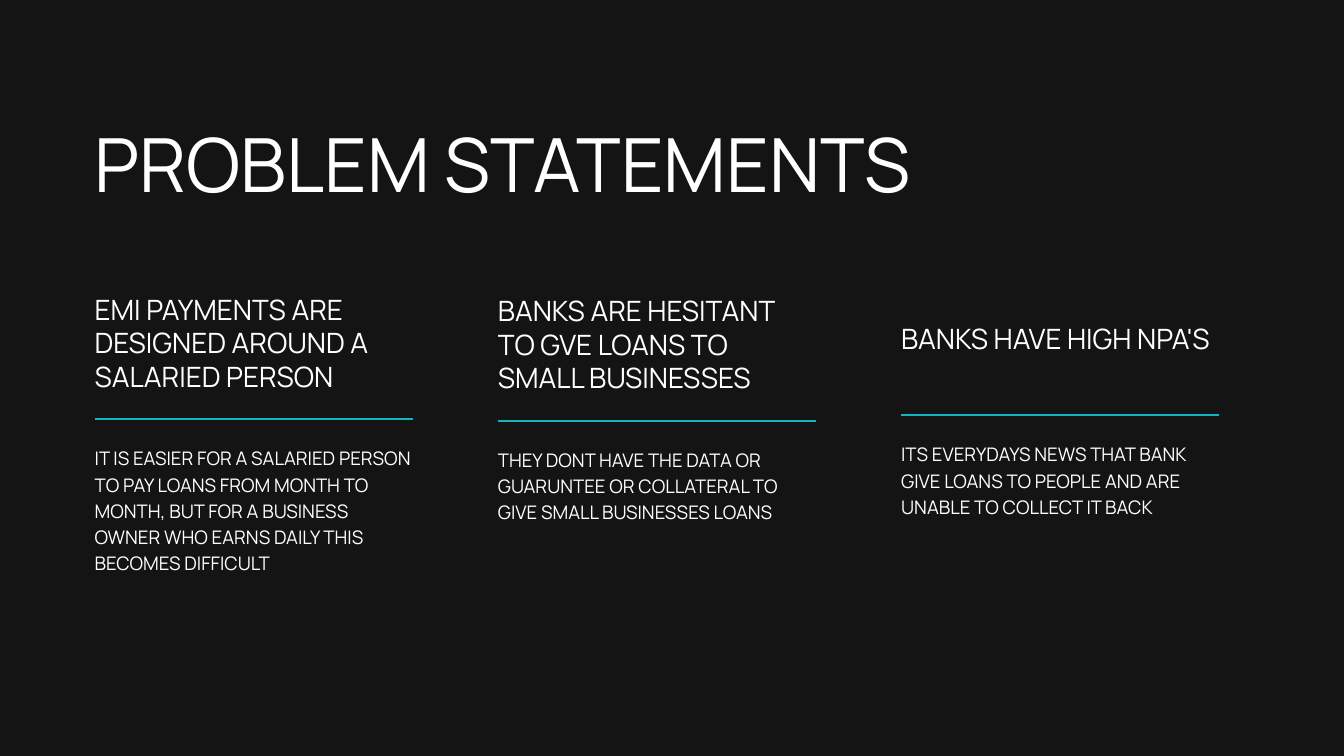
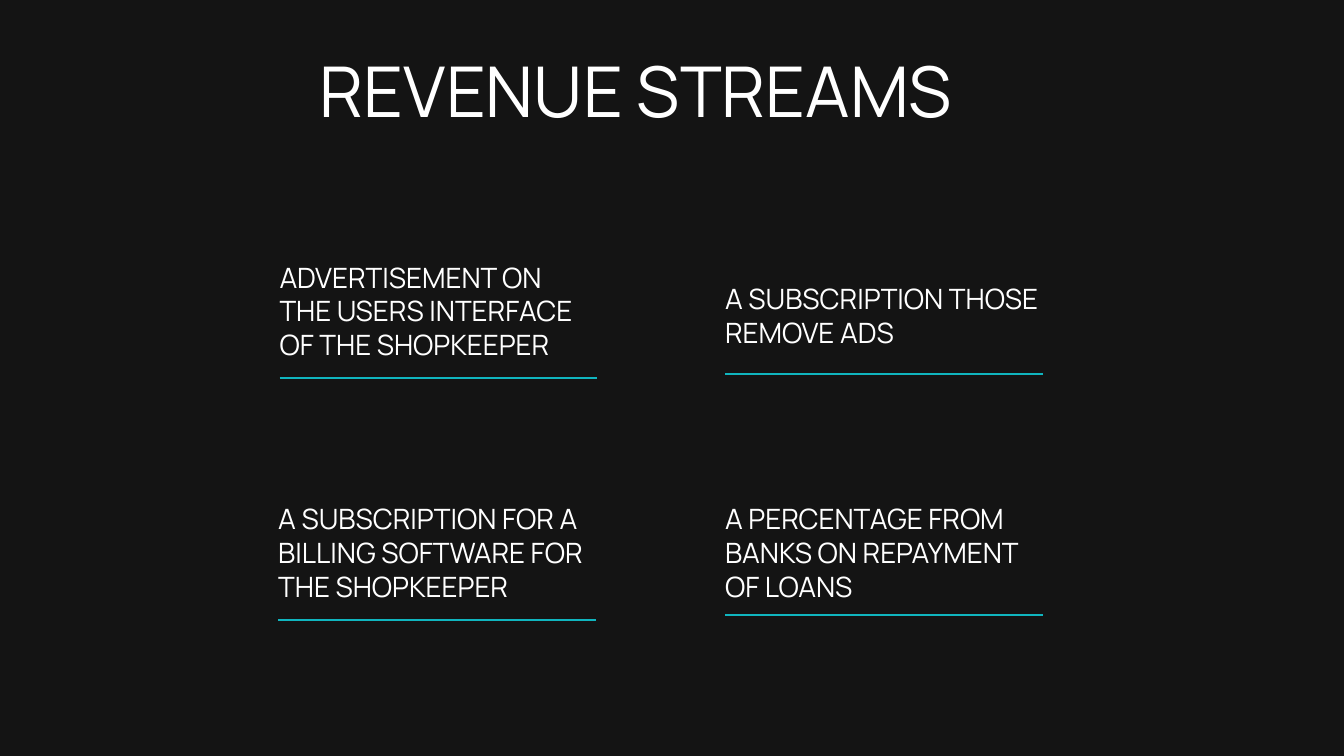
from pptx import Presentation
from pptx.dml.color import RGBColor as Rgb
from pptx.enum.shapes import MSO_CONNECTOR as Conn
from pptx.enum.text import MSO_AUTO_SIZE as Fit, PP_ALIGN as Align
from pptx.util import Inches, Pt
from lxml.etree import SubElement
from pptx.oxml.ns import qn

COLS, ROWS = 20, 11.25  # one grid cell is one inch square
COLORS = {"back": "141414", "text": "FFFFFF", "rule": "10B5BF"}
FONT = "Manrope"
WIDE = 4.73  # width of a topic column
LEAD = 1.2
BODY_GAP = 0.36

# head, top row, lines of head, row of rule, body, lines of body
PROBLEMS = [
    ("EMI PAYMENTS ARE DESIGNED AROUND A SALARIED PERSON", 4.35, 3, 6.24,
     "IT IS EASIER FOR A SALARIED PERSON TO PAY LOANS FROM MONTH TO MONTH, "
     "BUT FOR A BUSINESS OWNER WHO EARNS DAILY THIS BECOMES DIFFICULT", 5),
    ("BANKS ARE HESITANT TO GVE LOANS TO SMALL BUSINESSES", 4.37, 3, 6.26,
     "THEY DONT HAVE THE DATA OR GUARUNTEE OR COLLATERAL TO GIVE SMALL "
     "BUSINESSES LOANS", 3),
    ("BANKS HAVE HIGH NPA'S", 4.79, 2, 6.18,
     "ITS EVERYDAYS NEWS THAT BANK GIVE LOANS TO PEOPLE AND ARE UNABLE TO "
     "COLLECT IT BACK", 3),
]

# left column, head, top row, lines of head, row of rule
STREAMS = [
    (4.16, "ADVERTISEMENT ON THE USERS INTERFACE OF THE SHOPKEEPER", 3.87, 3, 5.62),
    (10.79, "A SUBSCRIPTION THOSE REMOVE ADS", 4.19, 2, 5.57),
    (4.14, "A SUBSCRIPTION FOR A BILLING SOFTWARE FOR THE SHOPKEEPER", 7.47, 3, 9.23),
    (10.79, "A PERCENTAGE FROM BANKS ON REPAYMENT OF LOANS", 7.47, 3, 9.15),
]


class Deck:
    def __init__(self):
        self.prs = Presentation()
        self.prs.slide_width = Inches(COLS)
        self.prs.slide_height = Inches(ROWS)
        self.slide = None

    def page(self):
        self.slide = self.prs.slides.add_slide(self.prs.slide_layouts[6])
        fill = self.slide.background.fill
        fill.solid()
        fill.fore_color.rgb = Rgb.from_string(COLORS["back"])

    def text(self, words, x, y, wide, size, lines=1, lead=LEAD, align=Align.LEFT):
        """Place a text box as tall as its lines; lead is line pitch over size."""
        pitch = Pt(round(size * lead))
        box = self.slide.shapes.add_textbox(
            Inches(x), Inches(y), Inches(wide), pitch * lines)
        frame = box.text_frame
        frame.word_wrap = True
        frame.auto_size = Fit.SHAPE_TO_FIT_TEXT
        frame.margin_left = frame.margin_right = 0
        frame.margin_top = frame.margin_bottom = 0
        para = frame.paragraphs[0]
        para.alignment = align
        para.line_spacing = pitch
        run = para.add_run()
        run.text = words
        run.font.name = FONT
        run.font.size = Pt(size)
        run.font.color.rgb = Rgb.from_string(COLORS["text"])

    def rule(self, x, y):
        line = self.slide.shapes.add_connector(
            Conn.STRAIGHT, Inches(x), Inches(y), Inches(x + WIDE), Inches(y))
        line.line.color.rgb = Rgb.from_string(COLORS["rule"])
        line.line.width = Pt(2)
        SubElement(line._element.spPr, qn("a:effectLst"))

    def topic(self, x, head, top, lines, base):
        """Place a heading with its rule at row base."""
        self.text(head, x, top, WIDE, 30, lines)
        self.rule(x, base)

    def body(self, words, x, base, lines):
        self.text(words, x, base + BODY_GAP, WIDE, 20, lines, lead=1.4)


def problems(deck):
    deck.page()
    left, step = 1.41, 6
    deck.text("PROBLEM STATEMENTS", left, 1.76, 16.22, 80)
    for i, (head, top, lines, base, words, count) in enumerate(PROBLEMS):
        x = left + i * step
        deck.topic(x, head, top, lines, base)
        deck.body(words, x, base, count)


def streams(deck):
    deck.page()
    deck.text("REVENUE STREAMS", 0.97, 0.71, 16.99, 75, align=Align.CENTER)
    for stream in STREAMS:
        deck.topic(*stream)


def main():
    deck = Deck()
    problems(deck)
    streams(deck)
    deck.prs.save("out.pptx")


if __name__ == "__main__":
    main()
